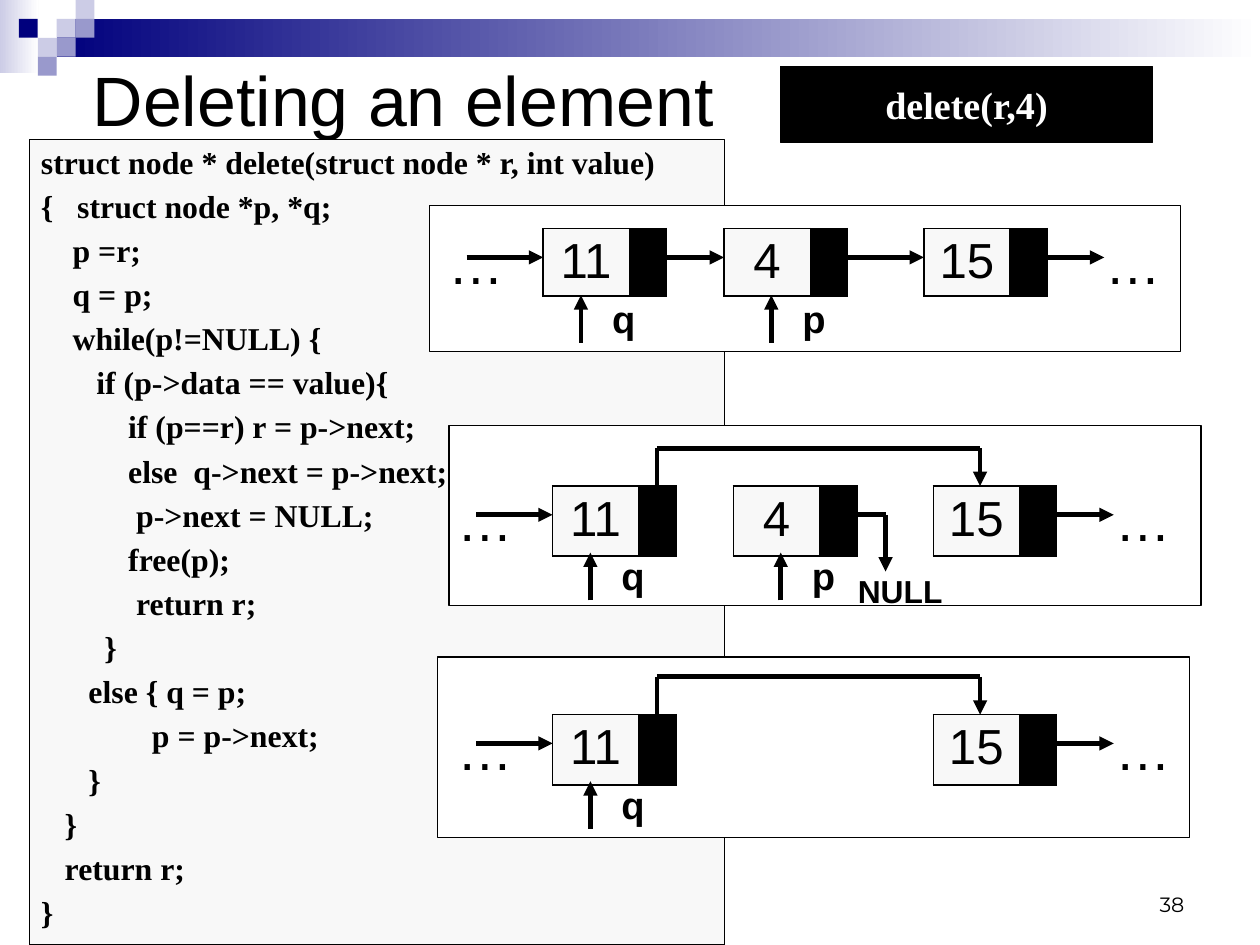
import pptx
import pptx.util
import pptx.dml.color
import pptx.enum.shapes
import pptx.enum.text
import pptx.oxml.ns
import lxml.etree

Cm = pptx.util.Cm
Pt = pptx.util.Pt
rgb = pptx.dml.color.RGBColor.from_string
qn = pptx.oxml.ns.qn
ALIGN = pptx.enum.text.PP_ALIGN
ANCHOR = pptx.enum.text.MSO_ANCHOR
RECTANGLE = pptx.enum.shapes.MSO_SHAPE.RECTANGLE

deck = pptx.Presentation()
deck.slide_width, deck.slide_height = Cm(28), Cm(21)
page = deck.slides.add_slide(deck.slide_layouts[6])


def write(frame, text, align, look, color="000000", gap=0, spacing=None):
    """Fill a text frame, one paragraph for each line of text."""
    for number, line in enumerate(text.split("\n")):
        para = frame.add_paragraph() if number else frame.paragraphs[0]
        para.alignment = align
        para.line_spacing = spacing
        para.space_before = Pt(gap if number else 0)
        span = para.add_run()
        span.text = line
        for name, value in look.items():
            setattr(span.font, name, value)
        span.font.color.rgb = rgb(color)


def add_line(x1, y1, x2, y2, arrow=True):
    """Draw a thick black line, with an arrowhead at its end if asked."""
    line = page.shapes.add_connector(
        pptx.enum.shapes.MSO_CONNECTOR.STRAIGHT, Cm(x1), Cm(y1), Cm(x2), Cm(y2))
    line.line.color.rgb = rgb("000000")
    line.line.width = Pt(3)
    if arrow:
        lxml.etree.SubElement(line.line._get_or_add_ln(), qn("a:tailEnd"), type="triangle")
    lxml.etree.SubElement(line._element.spPr, qn("a:effectLst"))


# Text styles
title_look = {"name": "Arial", "size": Pt(44)}
number_look = {"name": "Montserrat", "size": Pt(13)}
code_look = {"name": "Times New Roman", "size": Pt(20), "bold": True}
call_look = {"name": "Times New Roman", "size": Pt(24), "bold": True}
value_look = {"name": "Arial", "size": Pt(31)}
dots_look = {"name": "Arial", "size": Pt(35)}
pointer_look = {"name": "Arial", "size": Pt(24), "bold": True}
null_look = {"name": "Arial", "size": Pt(20), "bold": True}

# Title and page number
for text, place, anchor, align, look in [
    ("Deleting an element", (1.78, 1, 25, 2.36), ANCHOR.MIDDLE, ALIGN.LEFT, title_look),
    ("38", (20.07, 19.13, 6.53, 1.4), ANCHOR.BOTTOM, ALIGN.RIGHT, number_look),
]:
    frame = page.shapes.add_textbox(*map(Cm, place)).text_frame
    margins = {"margin_left": Cm(0.28), "margin_right": Cm(0.28),
               "margin_top": Cm(0.15), "margin_bottom": Cm(0.15)}
    for name, value in {"word_wrap": True, "vertical_anchor": anchor, **margins}.items():
        setattr(frame, name, value)
    write(frame, text, align, look)

# Header bands fading to white
for place, color in [((0, 0, 0.86, 1.63), "CCCCE6"), ((1.26, 0.42, 26.74, 0.84), "00007D")]:
    band = page.shapes.add_shape(RECTANGLE, *map(Cm, place))
    band.shadow.inherit = False
    band.line.fill.background()
    band.fill.gradient()
    band.fill.gradient_angle = 0
    for stop, stop_color in zip(band.fill.gradient_stops, (color, "FFFFFF")):
        stop.color.rgb = rgb(stop_color)

# Header squares by column and row, then the code box, panels and call box
SQUARE = 0.42
squares = [(3, 1, "CCCCE6"), (4, 0, "CCCCE6"), (4, 1, "9999CC"), (2, 2, "CCCCE6"),
           (1, 1, "00007D"), (3, 2, "9999CC"), (2, 3, "9999CC")]
rectangles = [((column * SQUARE, row * SQUARE, SQUARE, SQUARE), color, 0)
              for column, row, color in squares]
rectangles += [
    ((0.66, 3.1, 15.44, 17.9), "F8F8F8", 1),
    ((9.55, 4.57, 16.69, 3.25), "FFFFFF", 0.75),
    ((9.98, 9.45, 16.71, 4.01), "FFFFFF", 0.75),
    ((9.73, 14.6, 16.71, 4.01), "FFFFFF", 0.75),
    ((17.35, 1.47, 8.26, 1.7), "000000", 0.75),
]
boxes = []
for place, color, outline in rectangles:
    box = page.shapes.add_shape(RECTANGLE, *map(Cm, place))
    box.shadow.inherit = False
    box.fill.solid()
    box.fill.fore_color.rgb = rgb(color)
    if outline:
        box.line.color.rgb = rgb("000000")
        box.line.width = Pt(outline)
    else:
        box.line.fill.background()
    boxes.append(box)
code_box, call_box = boxes[len(squares)], boxes[-1]

code = """struct node * delete(struct node * r, int value)
{   struct node *p, *q;
    p =r;
    q = p;
    while(p!=NULL) {
       if (p->data == value){
           if (p==r) r = p->next;
           else  q->next = p->next;
            p->next = NULL;
           free(p);
            return r;
        }
      else { q = p;
              p = p->next;
      }
   }
   return r;
}"""
code_box.text_frame.vertical_anchor = ANCHOR.TOP
code_box.text_frame.word_wrap = True
write(code_box.text_frame, code, ALIGN.LEFT, code_look, gap=5, spacing=0.95)
call_box.text_frame.word_wrap = False
write(call_box.text_frame, "delete(r,4)", ALIGN.CENTER, call_look, "FFFFFF")

# Linked lists: before, while unlinking, and after
NODE_X = {"11": 1.7, "4": 5.72, "15": 10.16}
POINTER_X = {"q": 2.54, "p": 6.77}
NEXT_X = 2.33  # from a node's left side to the start of its arrow
ARROW_Y = 0.64
lists = [
    (10.37, 5.08, 1.5, ["11", "4", "15"], "qp", False),
    (10.58, 10.8, 1.56, ["11", "4", "15"], "qp", True),
    (10.58, 15.88, 1.56, ["11", "15"], "q", True),
]
for left, top, height, values, pointers, unlinked in lists:
    # Nodes: a value cell and a black link cell
    for value in values:
        table = page.shapes.add_table(
            1, 2, Cm(left + NODE_X[value]), Cm(top), Cm(2.74), Cm(height)).table
        table.first_row = table.horz_banding = False
        for index, (width, color) in enumerate([(1.91, "F8F8F8"), (0.83, "000000")]):
            table.columns[index].width = Cm(width)
            cell = table.cell(0, index)
            cell.margin_bottom = 0
            for side in ("lnL", "lnR", "lnT", "lnB"):
                inner = side == ("lnL" if index else "lnR")
                border = lxml.etree.SubElement(
                    cell._tc.get_or_add_tcPr(), qn("a:" + side), w=str(Pt(0.45 if inner else 1.08)))
                paint = lxml.etree.SubElement(border, qn("a:solidFill"))
                lxml.etree.SubElement(paint, qn("a:srgbClr"), val="000000")
            cell.fill.solid()
            cell.fill.fore_color.rgb = rgb(color)
        write(table.cell(0, 0).text_frame, value, ALIGN.CENTER, value_look)

    # Arrows into the list, between neighbours and out of the list
    level = top + ARROW_Y
    add_line(left, level, left + NODE_X["11"], level)
    add_line(left + NODE_X["15"] + NEXT_X, level, left + 14.17, level)
    if unlinked:
        start, end, bridge = left + 4.02, left + 11.2, top - 0.84
        add_line(start, level, start, bridge, False)
        add_line(start, bridge, end, bridge, False)
        add_line(end, bridge, end, top)
    else:
        for value, following in zip(values, values[1:]):
            add_line(left + NODE_X[value] + NEXT_X, level, left + NODE_X[following], level)

    # Labels and pointer arrows
    labels = [("…", -0.64, 0, 1.7, 1.48, dots_look), ("…", 13.97, 0, 1.7, 1.48, dots_look)]
    for pointer in pointers:
        x = POINTER_X[pointer]
        add_line(left + x, top + 2.54, left + x, top + 1.48)
        labels.append((pointer, x + 0.21, 1.48, 1.48, 1.02, pointer_look))
    if unlinked and "4" in values:
        corner = left + 9.1
        add_line(left + NODE_X["4"] + NEXT_X, level, corner, level, False)
        add_line(corner, level, corner, top + 1.9)
        labels.append(("NULL", 8.26, 1.9, 2.33, 0.85, null_look))
    for text, x, y, width, label_height, look in labels:
        frame = page.shapes.add_textbox(
            Cm(left + x), Cm(top + y), Cm(width), Cm(label_height)).text_frame
        frame.word_wrap = True
        for side in ("left", "right", "top", "bottom"):
            setattr(frame, "margin_" + side, 0)
        write(frame, text, ALIGN.CENTER, look)

deck.save("out.pptx")
